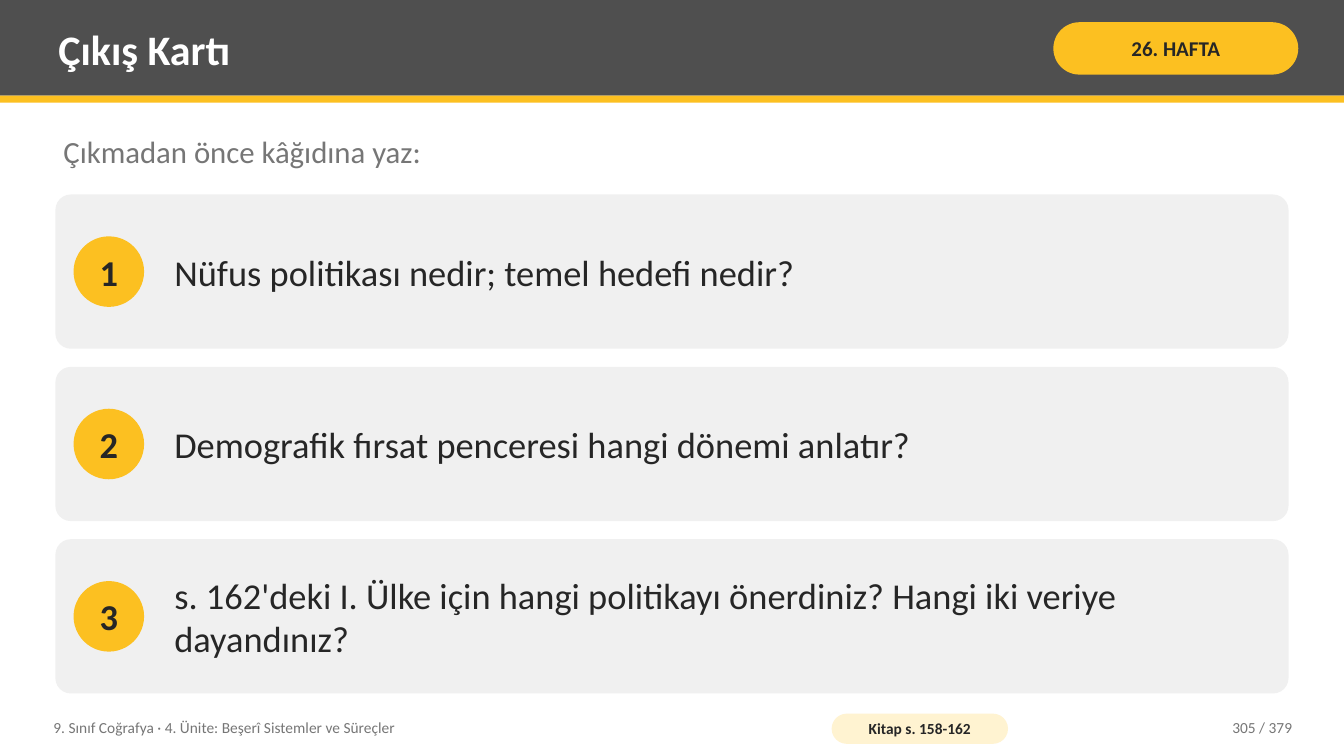
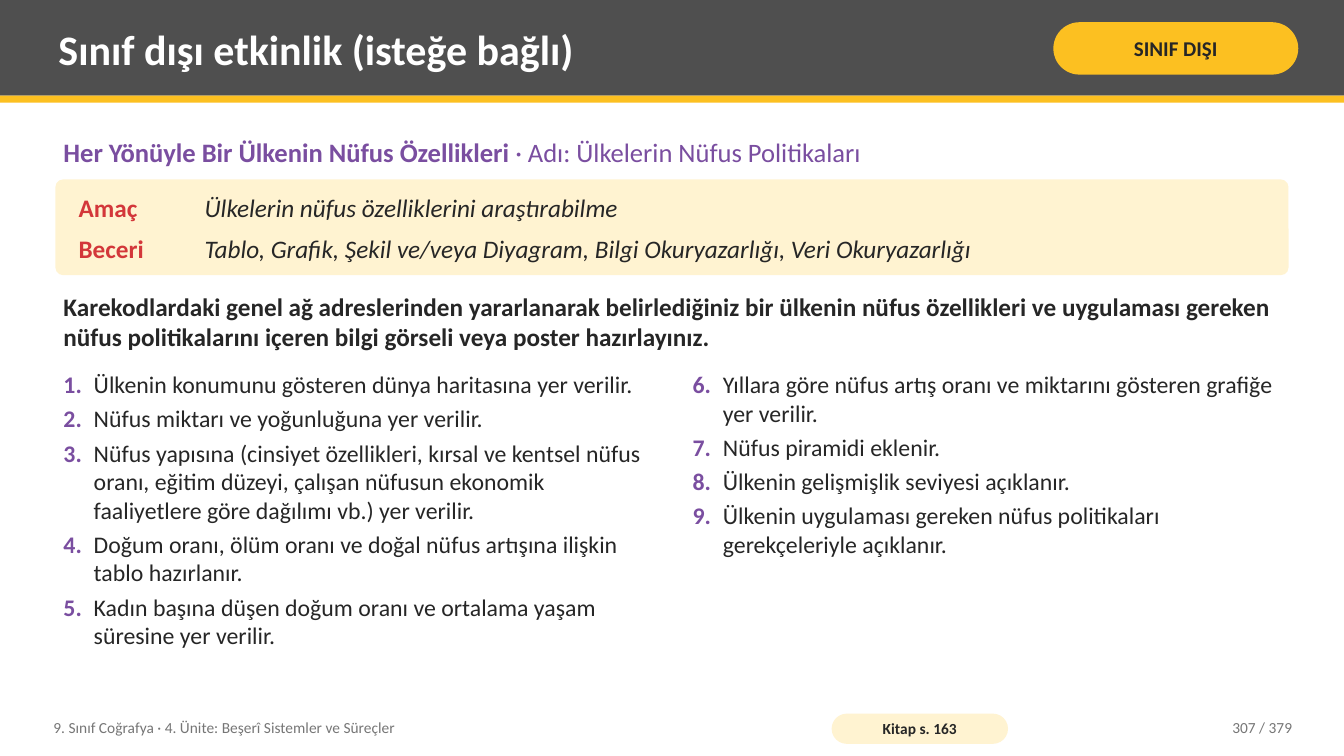
import pptx
import pptx.dml.color
import pptx.enum.shapes
import pptx.enum.text
import pptx.util
from lxml import etree
from pptx.oxml.ns import qn

RGBColor = pptx.dml.color.RGBColor
Preset = pptx.enum.shapes.MSO_SHAPE
Align = pptx.enum.text.PP_ALIGN
Anchor = pptx.enum.text.MSO_ANCHOR

CHARCOAL = RGBColor(0x4F, 0x4F, 0x4F)
YELLOW = RGBColor(0xFC, 0xC0, 0x21)
CREAM = RGBColor(0xFF, 0xF3, 0xD1)
PALE_GRAY = RGBColor(0xF0, 0xF0, 0xF0)
GRAY = RGBColor(0x76, 0x76, 0x76)
INK = RGBColor(0x26, 0x26, 0x26)
PURPLE = RGBColor(0x7A, 0x4E, 0xA0)
RED = RGBColor(0xD3, 0x37, 0x3A)
WHITE = RGBColor(0xFF, 0xFF, 0xFF)

FONT = "Calibri"
TITLE_ONLY, TWO_CONTENT = 5, 3

# The slide is a grid of square cells, 75 rows high.
ROWS = 75
COLUMNS = 133.33
SLIDE_HEIGHT = pptx.util.Inches(7.5)
CELL = SLIDE_HEIGHT / ROWS
LEFT = 5.5
WIDTH = COLUMNS - 2 * LEFT
TEXT_INSETS = (0.8, 0.4)

UNIT_NAME = "9. Sınıf Coğrafya · 4. Ünite: Beşerî Sistemler ve Süreçler"
PAGE_COUNT = 379

EXIT_QUESTIONS = [
    "Nüfus politikası nedir; temel hedefi nedir?",
    "Demografik fırsat penceresi hangi dönemi anlatır?",
    "s. 162'deki I. Ülke için hangi politikayı önerdiniz? Hangi iki veriye dayandınız?",
]
ACTIVITY_FACTS = [
    ("Amaç", "Ülkelerin nüfus özelliklerini araştırabilme"),
    ("Beceri", "Tablo, Grafik, Şekil ve/veya Diyagram, Bilgi Okuryazarlığı, Veri Okuryazarlığı"),
]
ACTIVITY_TASK = (
    "Karekodlardaki genel ağ adreslerinden yararlanarak belirlediğiniz bir ülkenin nüfus "
    "özellikleri ve uygulaması gereken nüfus politikalarını içeren bilgi görseli veya poster "
    "hazırlayınız."
)
ACTIVITY_STEPS = [
    "Ülkenin konumunu gösteren dünya haritasına yer verilir.",
    "Nüfus miktarı ve yoğunluğuna yer verilir.",
    "Nüfus yapısına (cinsiyet özellikleri, kırsal ve kentsel nüfus oranı, eğitim düzeyi, "
    "çalışan nüfusun ekonomik faaliyetlere göre dağılımı vb.) yer verilir.",
    "Doğum oranı, ölüm oranı ve doğal nüfus artışına ilişkin tablo hazırlanır.",
    "Kadın başına düşen doğum oranı ve ortalama yaşam süresine yer verilir.",
    "Yıllara göre nüfus artış oranı ve miktarını gösteren grafiğe yer verilir.",
    "Nüfus piramidi eklenir.",
    "Ülkenin gelişmişlik seviyesi açıklanır.",
    "Ülkenin uygulaması gereken nüfus politikaları gerekçeleriyle açıklanır.",
]
STEPS_IN_FIRST_COLUMN = 5


def cells(count):
    return pptx.util.Emu(round(count * CELL))


def place(shape, left, top, width, height):
    shape.left, shape.top = cells(left), cells(top)
    shape.width, shape.height = cells(width), cells(height)


def prepare_frame(shape, anchor=Anchor.MIDDLE, insets=TEXT_INSETS, wrap=True):
    frame = shape.text_frame
    frame.auto_size = pptx.enum.text.MSO_AUTO_SIZE.NONE
    frame.word_wrap = wrap
    frame.vertical_anchor = anchor
    frame.margin_left = frame.margin_right = cells(insets[0])
    frame.margin_top = frame.margin_bottom = cells(insets[1])
    return frame


def add_run(paragraph, text, size, color, bold=False, italic=False):
    run = paragraph.add_run()
    run.text = text
    run.font.name = FONT
    run.font.size = pptx.util.Pt(size)
    run.font.color.rgb = color
    run.font.bold = bold
    run.font.italic = italic


def add_text(slide, box, text, size, color, bold=False, italic=False,
             align=Align.LEFT, anchor=Anchor.MIDDLE):
    """Add a one-paragraph text box and return the paragraph."""
    shape = slide.shapes.add_textbox(*map(cells, box))
    paragraph = prepare_frame(shape, anchor).paragraphs[0]
    paragraph.alignment = align
    add_run(paragraph, text, size, color, bold, italic)
    return paragraph


def add_panel(slide, preset, box, fill, corner=None):
    shape = slide.shapes.add_shape(preset, *map(cells, box))
    shape.shadow.inherit = False
    shape.fill.solid()
    shape.fill.fore_color.rgb = fill
    shape.line.fill.background()
    if corner is not None:
        shape.adjustments[0] = corner
    return shape


def add_label(shape, text, size, insets, wrap=True):
    paragraph = prepare_frame(shape, insets=insets, wrap=wrap).paragraphs[0]
    paragraph.alignment = Align.CENTER
    add_run(paragraph, text, size, INK, bold=True)


def add_pill(slide, box, fill, text, size, insets):
    pill = add_panel(slide, Preset.ROUNDED_RECTANGLE, box, fill, corner=0.5)
    add_label(pill, text, size, insets)


def set_title(slide, text):
    title = slide.shapes.title
    place(title, 5, 0.7, 97.5, 8.2)
    paragraph = prepare_frame(title).paragraphs[0]
    paragraph.alignment = Align.LEFT
    add_run(paragraph, text, 30, WHITE, bold=True)
    # Bring the title in front of the header band.
    title.element.getparent().append(title.element)


def add_framed_slide(presentation, layout, title, tag, book_pages, page):
    """Add a slide with the header and footer that all slides share."""
    slide = presentation.slides.add_slide(presentation.slide_layouts[layout])
    add_panel(slide, Preset.RECTANGLE, (0, 0, COLUMNS, 9.5), CHARCOAL)
    add_panel(slide, Preset.RECTANGLE, (0, 9.5, COLUMNS, 0.7), YELLOW)
    set_title(slide, title)
    add_pill(slide, (104.5, 2.2, 24.3, 5.2), YELLOW, tag, 15, (0.5, 0.2))
    add_text(slide, (4.5, 70.4, 76, 3.6), UNIT_NAME, 11, GRAY)
    add_pill(slide, (82.5, 70.8, 17.5, 3), CREAM, f"Kitap s. {book_pages}", 11, (0.4, 0))
    add_text(slide, (113, 70.4, 16, 3.6), f"{page} / {PAGE_COUNT}", 11, GRAY,
             align=Align.RIGHT)
    return slide


def add_question_card(slide, number, question, top, height):
    disc_size = 7
    disc_top = top + (height - disc_size) / 2
    add_panel(slide, Preset.ROUNDED_RECTANGLE, (LEFT, top, WIDTH, height), PALE_GRAY, 0.1)
    disc = add_panel(slide, Preset.OVAL, (LEFT + 1.8, disc_top, disc_size, disc_size), YELLOW)
    add_label(disc, str(number), 26, (0, 0), wrap=False)
    add_text(slide, (LEFT + 11, top, WIDTH - 13, height), question, 26, INK)


def fill_steps(placeholder, steps, first_number):
    """Write numbered steps with a hanging indent and coloured numbers."""
    frame = prepare_frame(placeholder, Anchor.TOP)
    for index, step in enumerate(steps):
        paragraph = frame.add_paragraph() if index else frame.paragraphs[0]
        properties = paragraph._p.get_or_add_pPr()
        properties.set("marL", str(cells(3)))
        properties.set("indent", str(-cells(3)))
        etree.SubElement(properties, qn("a:buNone"))
        paragraph.space_before = pptx.util.Pt(0)
        paragraph.space_after = pptx.util.Pt(4 if index < len(steps) - 1 else 0)
        add_run(paragraph, f"{first_number + index}.\t", 17, PURPLE, bold=True)
        add_run(paragraph, step, 17, INK)


def build_exit_card(presentation):
    slide = add_framed_slide(presentation, TITLE_ONLY, "Çıkış Kartı", "26. HAFTA",
                             "158-162", 305)
    add_text(slide, (LEFT, 12.8, WIDTH, 5.5), "Çıkmadan önce kâğıdına yaz:", 22, GRAY,
             anchor=Anchor.TOP)
    top, height, gap = 19.3, 15.3, 1.8
    for index, question in enumerate(EXIT_QUESTIONS):
        add_question_card(slide, index + 1, question, top + index * (height + gap), height)


def build_activity(presentation):
    slide = add_framed_slide(presentation, TWO_CONTENT, "Sınıf dışı etkinlik (isteğe bağlı)",
                             "SINIF DIŞI", "163", 307)
    heading = add_text(slide, (LEFT, 12.8, WIDTH, 4.5),
                       "Her Yönüyle Bir Ülkenin Nüfus Özellikleri", 19, PURPLE, bold=True)
    add_run(heading, " · Adı: Ülkelerin Nüfus Politikaları", 19, PURPLE)

    add_panel(slide, Preset.ROUNDED_RECTANGLE, (LEFT, 17.8, WIDTH, 9.5), CREAM, 0.08)
    for index, (name, description) in enumerate(ACTIVITY_FACTS):
        top = 18.5 + index * 4.1
        add_text(slide, (LEFT + 1.5, top, 12.5, 4.1), name, 18, RED, bold=True)
        add_text(slide, (LEFT + 14, top, WIDTH - 16, 4.1), description, 18, INK, italic=True)
    add_text(slide, (LEFT, 28.1, WIDTH, 7.5), ACTIVITY_TASK, 18, INK, bold=True)

    gap = 2.5
    column_width = (WIDTH - gap) / 2
    step_columns = [ACTIVITY_STEPS[:STEPS_IN_FIRST_COLUMN], ACTIVITY_STEPS[STEPS_IN_FIRST_COLUMN:]]
    first_number = 1
    for index, steps in enumerate(step_columns):
        placeholder = slide.placeholders[index + 1]
        place(placeholder, LEFT + index * (column_width + gap), 36.3, column_width, 32.5)
        fill_steps(placeholder, steps, first_number)
        first_number += len(steps)


def main():
    presentation = pptx.Presentation()
    presentation.slide_width = cells(COLUMNS)
    presentation.slide_height = SLIDE_HEIGHT
    build_exit_card(presentation)
    build_activity(presentation)
    presentation.save("out.pptx")


if __name__ == "__main__":
    main()
